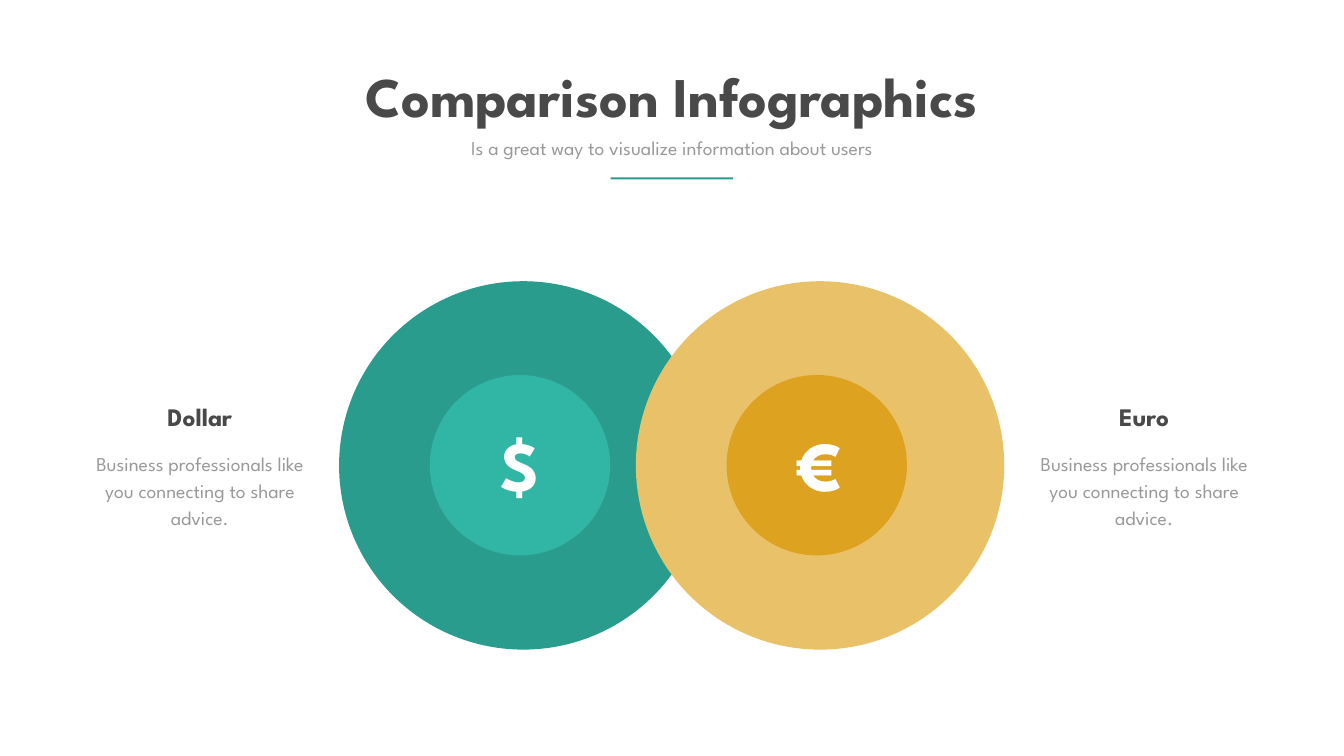
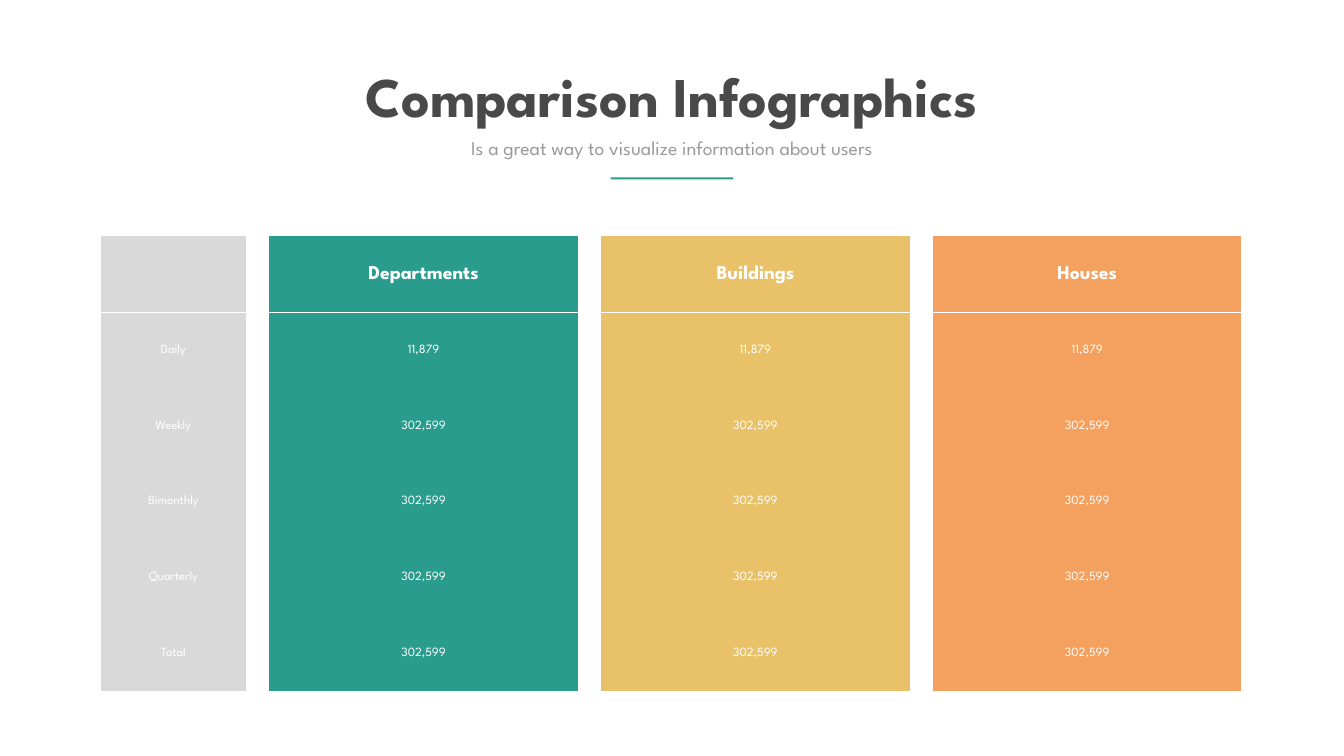
import pptx
import pptx.util
import pptx.dml.color
import pptx.enum.shapes
import pptx.enum.text
import pptx.oxml

Pt = pptx.util.Pt
Kind = pptx.enum.shapes.MSO_SHAPE
Anchor = pptx.enum.text.MSO_ANCHOR
HUE = {
    "dark": "494949", "gray": "999999", "pale": "D9D9D9", "white": "FFFFFF",
    "teal": "2A9C8E", "mint": "31B5A4", "sand": "E9C169", "gold": "DDA220",
    "peach": "F4A15F",
}
FACE = "League Spartan"
NS = "http://schemas.openxmlformats.org/drawingml/2006/main"

deck = pptx.Presentation()
deck.slide_width = pptx.util.Inches(26.67)
deck.slide_height = pptx.util.Inches(15)


def place(left, top, width, height):
    """Turn percent shares of the slide into lengths."""
    wide, high = deck.slide_width / 100, deck.slide_height / 100
    return [round(n) for n in (left * wide, top * high, width * wide, height * high)]


def write(frame, text, size, hue, bold=False, lead=None):
    """Put one centred paragraph into a text frame."""
    para = frame.paragraphs[0]
    para.alignment = pptx.enum.text.PP_ALIGN.CENTER
    if lead:
        para.line_spacing = Pt(lead)
    run = para.add_run()
    run.text = text
    looks = {"name": FACE, "size": Pt(size), "bold": bold}
    for key, value in looks.items():
        setattr(run.font, key, value)
    run.font.color.rgb = pptx.dml.color.RGBColor.from_string(HUE[hue])


# Heading and slides
pages = []
for _ in range(2):
    page = deck.slides.add_slide(deck.slide_layouts[5])
    title = page.shapes.title
    box = place(23.28, 7.8, 53.36, 9.67)
    for key, value in zip(("left", "top", "width", "height"), box):
        setattr(title, key, value)
    looks = {
        "word_wrap": False,
        "auto_size": pptx.enum.text.MSO_AUTO_SIZE.NONE,
        "vertical_anchor": Anchor.TOP,
    }
    for key, value in looks.items():
        setattr(title.text_frame, key, value)
    write(title.text_frame, "Comparison Infographics", 80, "dark", True)
    pages.append(page)

# Flat shapes: page, kind, fill, share of the slide
forms = [(page, Kind.RECTANGLE, "teal", (45.44, 23.47, 9.11, 0.27)) for page in pages]
STEP = 22.08
for top, width, height, left, hues in (
    (37.2, 27.41, 48.73, 25.23, ("teal", "sand")),
    (49.6, 13.42, 23.87, 31.98, ("mint", "gold")),
):
    for col, hue in enumerate(hues):
        forms.append((pages[0], Kind.OVAL, hue, (left + col * STEP, top, width, height)))
for page, kind, hue, share in forms:
    form = page.shapes.add_shape(kind, *place(*share))
    form.shadow.inherit = False
    form.line.fill.background()
    form.fill.solid()
    form.fill.fore_color.rgb = pptx.dml.color.RGBColor.from_string(HUE[hue])

# Text boxes: page, share of the slide, text and its format
notes = [
    (page, (32.06, 17.67, 35.85, 3.8),
     ("Is a great way to visualize information about users", 28, "gray"))
    for page in pages
]
advice = "Business professionals like you connecting to share advice."
for name, sign, side, mid in (("Dollar", "$", 6.19, 34.5), ("Euro", "€", 76.45, 56.77)):
    notes += [
        (pages[0], (side, 58.93, 17.36, 11.47), (advice, 28, "gray", False, 38.6)),
        (pages[0], (side, 52.73, 17.36, 4.73), (name, 36, "dark", True)),
        (pages[0], (mid, 55.47, 8.4, 11.87), (sign, 100, "white", True)),
    ]
for page, share, words in notes:
    frame = page.shapes.add_textbox(*place(*share)).text_frame
    frame.word_wrap = True
    write(frame, *words)

# Tables, side by side with equal gaps
GAP = 1.74
counts = ["11,879"] + ["302,599"] * 4
left = 7.5
for head, cells, hue, width in (
    ("", ["Daily", "Weekly", "Bimonthly", "Quarterly", "Total"], "pale", 10.8),
    ("Departments", counts, "teal", 22.95),
    ("Buildings", counts, "sand", 22.95),
    ("Houses", counts, "peach", 22.95),
):
    texts = [head] + cells
    table = pages[1].shapes.add_table(
        len(texts), 1, *place(left, 31.27, width, 60.2)).table
    table.horz_banding = False
    for row, text in enumerate(texts):
        cell = table.cell(row, 0)
        ruled = {0: "lnB", 1: "lnT"}.get(row)
        props = cell._tc.get_or_add_tcPr()
        for edge in ("lnL", "lnR", "lnT", "lnB"):
            ink = "<a:noFill/>"
            if edge == ruled:
                ink = f'<a:solidFill><a:srgbClr val="{HUE["white"]}"/></a:solidFill>'
            props.append(pptx.oxml.parse_xml(
                f'<a:{edge} xmlns:a="{NS}" w="{Pt(0.25)}">{ink}</a:{edge}>'))
        cell.fill.solid()
        cell.fill.fore_color.rgb = pptx.dml.color.RGBColor.from_string(HUE[hue])
        cell.vertical_anchor = Anchor.MIDDLE
        if text:
            write(cell.text_frame, text, 18 if row else 28, "white", row == 0)
    left += width + GAP

deck.save("out.pptx")
